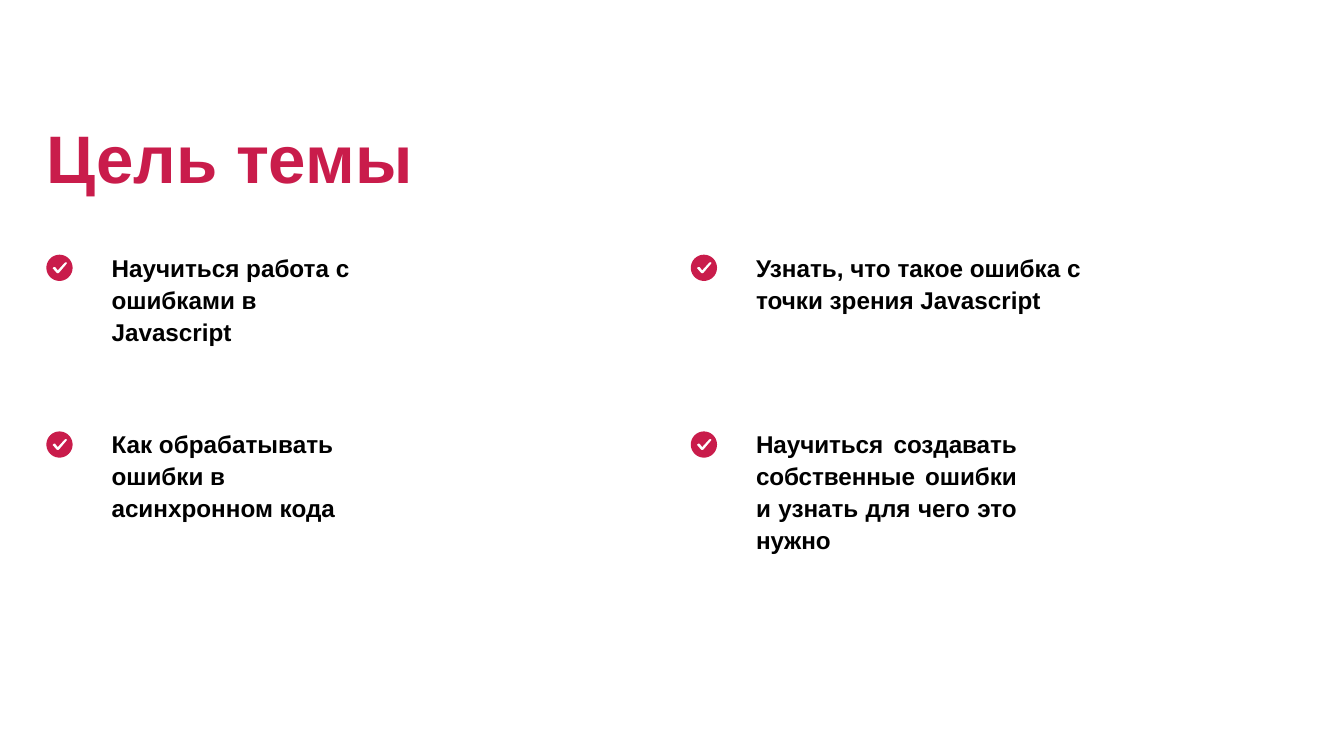
import math

import pptx
import pptx.dml.color
import pptx.enum.text
import pptx.util
from pptx.util import Inches

ACCENT = "C91C4B"
BLACK = "000000"
ICON_SIZE = 0.39
TEXT_OFFSET = 0.96  # from the icon's left edge to the goal text
COLUMNS = (0.69, 10.28)
ROWS = (3.7, 6.33)

# Text, box size, alignment and tracking of each goal, row by row
LEFT = pptx.enum.text.PP_ALIGN.LEFT
JUSTIFY = pptx.enum.text.PP_ALIGN.JUSTIFY
GOALS = [
    [("Научиться работа с ошибками в Javascript", 3.62, 1.44, LEFT, 0),
     ("Узнать, что такое ошибка с точки зрения Javascript", 4.92, 0.97, LEFT, 0)],
    [("Как обрабатывать ошибки в асинхронном кода", 3.36, 1.44, LEFT, 0),
     ("Научиться создавать собственные ошибки и узнать для чего это нужно",
      3.89, 1.92, JUSTIFY, -10)],
]

# Tick outline, measured from the icon's top left corner
TICK = [(0.17, 0.23), (0.13, 0.18), (0.11, 0.18), (0.09, 0.2), (0.15, 0.27),
        (0.17, 0.28), (0.19, 0.27), (0.3, 0.14), (0.31, 0.12), (0.29, 0.11),
        (0.27, 0.12)]


def color(value):
    return pptx.dml.color.RGBColor.from_string(value)


def set_values(target, values):
    for name, value in values.items():
        setattr(target, name, value)


def write_text(shape, text, size, fill, alignment, line_spacing, tracking):
    frame = shape.text_frame
    set_values(frame, {
        "word_wrap": True,
        "auto_size": pptx.enum.text.MSO_AUTO_SIZE.NONE,
        "vertical_anchor": pptx.enum.text.MSO_ANCHOR.TOP,
        "margin_left": 0, "margin_right": 0, "margin_bottom": 0,
        "margin_top": Inches(0.02),
    })
    paragraph = frame.paragraphs[0]
    set_values(paragraph, {"alignment": alignment, "line_spacing": line_spacing})
    paragraph._p.get_or_add_pPr().set("marL", str(Inches(0.01)))
    run = paragraph.add_run()
    run.text = text
    set_values(run.font, {"name": "Arial", "size": pptx.util.Pt(size), "bold": True})
    run.font.color.rgb = color(fill)
    run.font._element.set("spc", str(tracking))  # hundredths of a point


def add_title(slide, left, top, width, height):
    title = slide.shapes.title
    set_values(title, {"left": Inches(left), "top": Inches(top),
                       "width": Inches(width), "height": Inches(height)})
    write_text(title, "Цель темы", 72, ACCENT, LEFT, 1.0, 0)


def add_check_icon(slide, left, top):
    """Draw a disc with a tick cut out of it."""
    radius = ICON_SIZE / 2
    angles = [math.radians(step) for step in range(0, 360, 9)]
    disc = [(Inches(radius + radius * math.cos(angle)),
             Inches(radius + radius * math.sin(angle))) for angle in angles]
    tick = [(Inches(x), Inches(y)) for x, y in TICK]
    builder = slide.shapes.build_freeform(*disc[0])
    builder.add_line_segments(disc[1:], close=True)
    builder.move_to(*tick[0])
    builder.add_line_segments(tick[1:], close=True)
    icon = builder.convert_to_shape(Inches(left), Inches(top))
    icon.fill.solid()
    icon.fill.fore_color.rgb = color(ACCENT)
    icon.line.fill.background()
    icon.shadow.inherit = False


def add_goal(slide, left, top, text, width, height, alignment, tracking):
    add_check_icon(slide, left, top + 0.09)
    box = slide.shapes.add_textbox(Inches(left + TEXT_OFFSET), Inches(top),
                                   Inches(width), Inches(height))
    write_text(box, text, 26, BLACK, alignment, 1.1, tracking)


def main():
    presentation = pptx.Presentation()
    presentation.slide_width = Inches(20)
    presentation.slide_height = Inches(11.25)
    slide = presentation.slides.add_slide(presentation.slide_layouts[5])

    add_title(slide, 0.68, 1.71, 17.7, 1.89)

    # Two by two grid of goals
    for top, row in zip(ROWS, GOALS):
        for left, goal in zip(COLUMNS, row):
            add_goal(slide, left, top, *goal)

    presentation.save("out.pptx")


if __name__ == "__main__":
    main()
